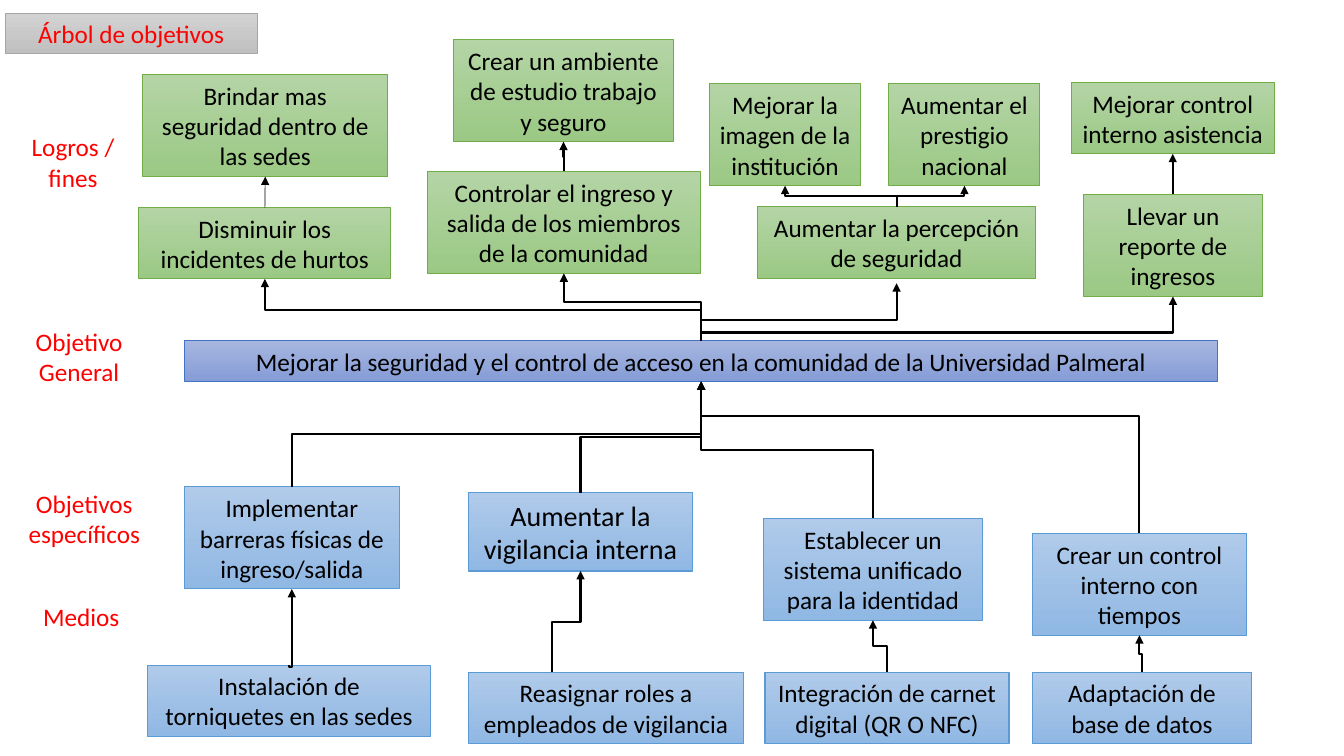
from dataclasses import dataclass, field
from lxml import etree
from pptx import Presentation
from pptx.dml.color import RGBColor
from pptx.enum.shapes import MSO_CONNECTOR, MSO_SHAPE
from pptx.enum.text import MSO_ANCHOR, MSO_AUTO_SIZE, PP_ALIGN
from pptx.oxml.ns import qn
from pptx.util import Cm, Pt

RECT = MSO_SHAPE.RECTANGLE
ELBOW, STRAIGHT = MSO_CONNECTOR.ELBOW, MSO_CONNECTOR.STRAIGHT
CENTER = PP_ALIGN.CENTER
TEXT_FRAME = {"word_wrap": True, "vertical_anchor": MSO_ANCHOR.MIDDLE,
              "auto_size": MSO_AUTO_SIZE.SHAPE_TO_FIT_TEXT}


@dataclass(frozen=True)
class Theme:
    font: str = "Calibri"
    body: int = 18
    large: int = 20
    ink: str = "000000"
    label: str = "FF0000"
    arrow: float = 1.5
    thin_arrow: float = 0.5
    styles: dict = field(default_factory=lambda: {
        "title": ("D2D2D2", "C0C0C0", "A5A5A5", 0.5),
        "goal": ("A6B6DE", "859CD7", "4472C4", 0.75),
        "end": ("B4D4A5", "9BC985", "70AD47", 0.75),
        "means": ("B0CAE9", "90B8E4", "5B9BD5", 0.75),
    })


THEME = Theme()

LABELS = [
    ("Logros / fines", 0.2, 3.18, 3.28, 2),
    ("Objetivo General", 0, 8.08, 3.99, 2),
    ("Objetivos específicos", 0.13, 12.17, 3.99, 2),
    ("Medios", 0.05, 15.01, 3.99, 1),
]
ENDS = {
    "ambiente": ("Crear un ambiente de estudio trabajo y seguro", 7.93, 0, 5.54, 3),
    "ingreso": ("Controlar el ingreso y salida de los miembros de la comunidad",
                7.27, 3.32, 6.88, 3),
    "reporte": ("Llevar un reporte de ingresos", 23.81, 3.9, 4.5, 3),
    "hurtos": ("Disminuir los incidentes de hurtos", 0, 4.23, 6.35, 2),
    "sedes": ("Brindar mas seguridad dentro de las sedes", 0.1, 0.88, 6.17, 3),
    "asistencia": ("Mejorar control interno asistencia", 23.5, 1.08, 5.11, 2),
    "percepcion": ("Aumentar la percepción de seguridad", 15.6, 4.21, 6.99, 2),
    "imagen": ("Mejorar la imagen de la institución", 14.38, 1.11, 3.81, 3),
    "prestigio": ("Aumentar el prestigio nacional", 18.9, 1.11, 3.81, 3),
}
MEANS = {
    "barreras": ("Implementar barreras físicas de ingreso/salida", 0.92, 0, 5.41, 3),
    "tiempos": ("Crear un control interno con tiempos", 22.28, 1.17, 5.41, 3),
    "vigilancia": ("Aumentar la vigilancia interna", 8.08, 0.15, 5.64, 2, THEME.large),
    "identidad": ("Establecer un sistema unificado para la identidad",
                  15.5, 0.79, 5.54, 3),
    "torniquetes": ("Instalación de torniquetes en las sedes", 0, 4.49, 7.11, 2),
    "roles": ("Reasignar roles a empleados de vigilancia", 8.08, 4.67, 6.93, 2),
    "carnet": ("Integración de carnet digital (QR O NFC)", 15.55, 4.67, 6.15, 2),
    "datos": ("Adaptación de base de datos", 22.28, 4.67, 5.54, 2),
}
LINKS = [
    ("barreras", "general", {}),
    ("vigilancia", "general", {}),
    ("tiempos", "general", {"bend": 0.77}),
    ("identidad", "general", {}),
    ("general", "hurtos", {}),
    ("general", "percepcion", {"bend": 0.37, "gap": 0.13}),
    ("general", "ingreso", {"bend": 0.58}),
    ("general", "reporte", {"bend": 0.19}),
    ("reporte", "asistencia", {}),
    ("ingreso", "ambiente", {}),
    ("percepcion", "prestigio", {}),
    ("percepcion", "imagen", {}),
    ("torniquetes", "barreras", {"bend": -0.02}),
    ("roles", "vigilancia", {"shift": -1.36}),
    ("datos", "tiempos", {}),
    ("carnet", "identidad", {}),
    ("hurtos", "sedes", {"straight": True}),
]


def rgb(value):
    return RGBColor.from_string(value)


def set_all(target, values):
    for name, value in values.items():
        setattr(target, name, value)


def write(sp, text, color, size):
    tf = sp.text_frame
    set_all(tf, TEXT_FRAME)
    p = tf.paragraphs[0]
    p.alignment = CENTER
    r = p.add_run()
    r.text = text
    set_all(r.font, {"name": THEME.font, "size": Pt(size)})
    r.font.color.rgb = rgb(color)


def frame(box, x, y, width, lines, size):
    left, top = box
    height = 0.25 + 0.043 * size * lines
    return Cm(left + x), Cm(top + y), Cm(width), Cm(height)


def add_card(slide, box, style, text, x, y, width, lines,
             size=THEME.body, color=THEME.ink):
    start, end, edge, weight = THEME.styles[style]
    sp = slide.shapes.add_shape(RECT, *frame(box, x, y, width, lines, size))
    sp.shadow.inherit = False
    sp.fill.gradient()
    sp.fill.gradient_angle = 270
    for stop, value in zip(sp.fill.gradient_stops, (start, end)):
        stop.color.rgb = rgb(value)
    sp.line.color.rgb = rgb(edge)
    sp.line.width = Pt(weight)
    write(sp, text, color, size)
    return sp


def add_cards(slide, box, style, cards):
    return {key: add_card(slide, box, style, *card) for key, card in cards.items()}


def add_labels(slide, box):
    add_card(slide, box, "title", "Árbol de objetivos", 0.13, 0.33, 6.35, 1,
             color=THEME.label)
    for text, *place in LABELS:
        sp = slide.shapes.add_textbox(*frame(box, *place, THEME.body))
        write(sp, text, THEME.label, THEME.body)


def add_link(slide, src, dst, bend=0.5, shift=0, gap=0, straight=False):
    x1, y1 = src.left + src.width // 2 + Cm(shift), src.top
    x2, y2 = dst.left + dst.width // 2, dst.top + dst.height + Cm(gap)
    if straight:
        c = slide.shapes.add_connector(STRAIGHT, x1, y1, x2, y2)
    else:
        rise, run = y1 - y2, x2 - x1
        left, top = (x1 + x2 - rise) // 2, (y1 + y2 - run) // 2
        c = slide.shapes.add_connector(ELBOW, left, top, left + rise, top + run)
        spPr = c._element.spPr
        spPr.find(qn("a:xfrm")).set("rot", str(270 * 60000))
        avLst = spPr.find(qn("a:prstGeom")).find(qn("a:avLst"))
        etree.SubElement(avLst, qn("a:gd"), name="adj1",
                         fmla=f"val {round(bend * 100000)}")
    c.line.color.rgb = rgb(THEME.ink)
    c.line.width = Pt(THEME.thin_arrow if straight else THEME.arrow)
    spPr = c._element.spPr
    etree.SubElement(spPr.find(qn("a:ln")), qn("a:tailEnd"), type="triangle")
    etree.SubElement(spPr, qn("a:effectLst"))


def add_objective_tree(slide):
    add_labels(slide, (0, 0))
    goal = "Mejorar la seguridad y el control de acceso en la comunidad de la Universidad Palmeral"
    nodes = {
        "general": add_card(slide, (4.65, 8.59), "goal", goal, 0, 0, 26.04, 1),
        **add_cards(slide, (3.5, 1), "end", ENDS),
        **add_cards(slide, (3.73, 12.27), "means", MEANS),
    }
    for src, dst, options in LINKS:
        add_link(slide, nodes[src], nodes[dst], **options)


def main():
    prs = Presentation()
    prs.slide_width, prs.slide_height = Cm(33.87), Cm(19.05)
    add_objective_tree(prs.slides.add_slide(prs.slide_layouts[6]))
    prs.save("out.pptx")


if __name__ == "__main__":
    main()
